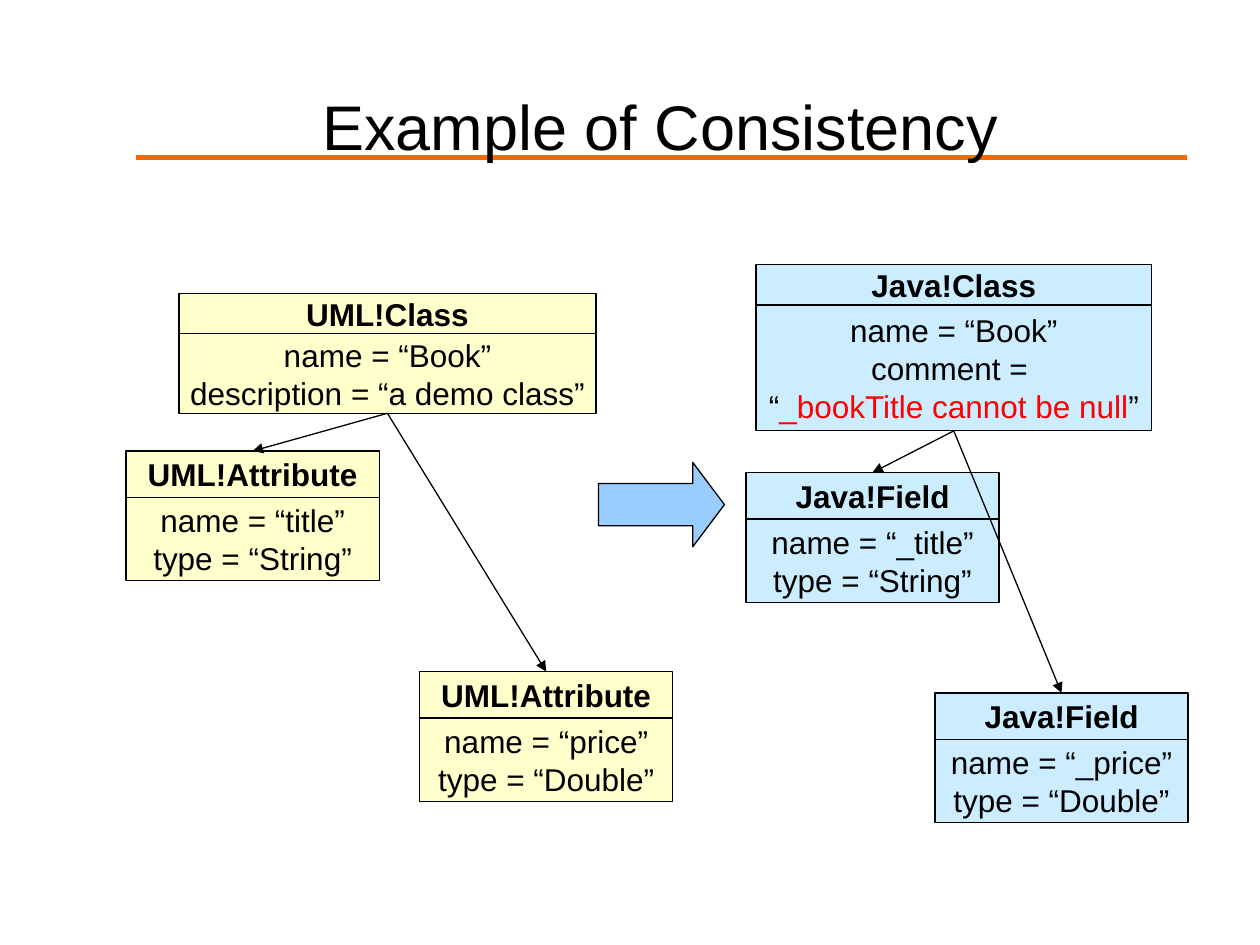
"""Build a slide showing consistency between a UML model and a Java model."""
from dataclasses import dataclass

import lxml.etree
import pptx
import pptx.dml.color
import pptx.enum.dml
import pptx.enum.shapes
import pptx.enum.text
import pptx.oxml.ns
import pptx.util

Inches = pptx.util.Inches
BLACK, RED, ORANGE = "000000", "FF0000", "FF6600"
YELLOW, PALE_BLUE, BLUE = "FFFFCC", "CCECFF", "99CCFF"
BREAK = "\n"


@dataclass
class Span:
    text: str
    color: str = BLACK
    bold: bool = False


@dataclass
class Entity:
    heading: str
    lines: list[list[Span]]
    fill: str
    left: float
    top: float
    width: float = 2.01
    heading_height: float = 0.37
    body_height: float = 0.66

    @property
    def top_center(self) -> tuple[float, float]:
        return self.left + self.width / 2, self.top

    @property
    def bottom_center(self) -> tuple[float, float]:
        return self.left + self.width / 2, self.top + self.heading_height + self.body_height


def rgb(color: str) -> pptx.dml.color.RGBColor:
    return pptx.dml.color.RGBColor.from_string(color)


def add_spans(para, spans: list[Span], size: float) -> None:
    para.alignment = pptx.enum.text.PP_ALIGN.CENTER
    for span in spans:
        if span.text == BREAK:
            para.add_line_break()
            continue
        run = para.add_run()
        run.text = span.text
        run.font.name = "Arial"
        run.font.size = pptx.util.Pt(size)
        run.font.bold = span.bold
        run.font.color.rgb = rgb(span.color)


def add_shape(shapes, kind, left: float, top: float, width: float, height: float, fill: str):
    shape = shapes.add_shape(kind, Inches(left), Inches(top), Inches(width), Inches(height))
    shape.shadow.inherit = False
    shape.fill.solid()
    shape.fill.fore_color.rgb = rgb(fill)
    shape.line.color.rgb = rgb(BLACK)
    shape.line.width = pptx.util.Pt(0.75)
    return shape


def add_compartment(shapes, entity: Entity, top: float, height: float,
                    lines: list[list[Span]]) -> None:
    box = add_shape(shapes, pptx.enum.shapes.MSO_SHAPE.RECTANGLE,
                    entity.left, top, entity.width, height, entity.fill)
    frame = box.text_frame
    frame.word_wrap = False
    frame.vertical_anchor = pptx.enum.text.MSO_ANCHOR.MIDDLE
    for index, spans in enumerate(lines):
        para = frame.add_paragraph() if index else frame.paragraphs[0]
        add_spans(para, spans, 18)


def add_entity(slide, entity: Entity) -> None:
    shapes = slide.shapes.add_group_shape().shapes
    add_compartment(shapes, entity, entity.top, entity.heading_height,
                    [[Span(entity.heading, bold=True)]])
    add_compartment(shapes, entity, entity.top + entity.heading_height,
                    entity.body_height, entity.lines)


def add_line(slide, start: tuple[float, float], end: tuple[float, float],
             color: str = BLACK, width: float = 0.75, arrow: bool = False):
    line = slide.shapes.add_connector(
        pptx.enum.shapes.MSO_CONNECTOR.STRAIGHT, *map(Inches, start + end))
    line.line.color.rgb = rgb(color)
    line.line.width = pptx.util.Pt(width)
    qn = pptx.oxml.ns.qn
    properties = line.element.find(qn("p:spPr"))
    if arrow:
        lxml.etree.SubElement(properties.find(qn("a:ln")), qn("a:tailEnd"), type="triangle")
    lxml.etree.SubElement(properties, qn("a:effectLst"))
    return line


def add_title(slide, text: str) -> None:
    title = slide.shapes.title
    title.left, title.top, title.width, title.height = map(Inches, (0.91, 0.6, 8.66, 0.79))
    title.text_frame.vertical_anchor = pptx.enum.text.MSO_ANCHOR.MIDDLE
    add_spans(title.text_frame.paragraphs[0], [Span(text)], 36)
    rule = add_line(slide, (1.08, 1.25), (9.42, 1.25), ORANGE, 2.75)
    title.element.addprevious(rule.element)


def plain(*texts: str) -> list[list[Span]]:
    return [[Span(text)] for text in texts]


def main() -> None:
    deck = pptx.Presentation()
    deck.slide_width, deck.slide_height = Inches(10), Inches(7.5)
    slide = deck.slides.add_slide(deck.slide_layouts[5])
    add_title(slide, "Example of Consistency")

    uml_class = Entity("UML!Class", plain("name = “Book”", "description = “a demo class”"),
                       YELLOW, 1.42, 2.33, 3.31, 0.32, 0.63)
    uml_attributes = [
        Entity("UML!Attribute", plain("name = “title”", "type = “String”"), YELLOW, 1, 3.58),
        Entity("UML!Attribute", plain("name = “price”", "type = “Double”"), YELLOW, 3.33, 5.33),
    ]
    comment = [Span("comment = "), Span(BREAK), Span("“"),
               Span("_bookTitle cannot be null", RED), Span("”")]
    java_class = Entity("Java!Class", plain("name = “Book”") + [comment],
                        PALE_BLUE, 6, 2.1, 3.14, 0.32, 1)
    java_fields = [
        Entity("Java!Field", plain("name = “_title”", "type = “String”"), PALE_BLUE, 5.92, 3.75),
        Entity("Java!Field", plain("name = “_price”", "type = “Double”"), PALE_BLUE, 7.42, 5.5),
    ]

    for owner, members in ((uml_class, uml_attributes), (java_class, java_fields)):
        for entity in [owner, *members]:
            add_entity(slide, entity)
        for member in members:
            add_line(slide, owner.bottom_center, member.top_center, arrow=True)

    arrow = add_shape(slide.shapes, pptx.enum.shapes.MSO_SHAPE.RIGHT_ARROW,
                      4.75, 3.67, 1, 0.67, BLUE)
    arrow.adjustments[0], arrow.adjustments[1] = 0.5, 0.375
    deck.save("out.pptx")


if __name__ == "__main__":
    main()
